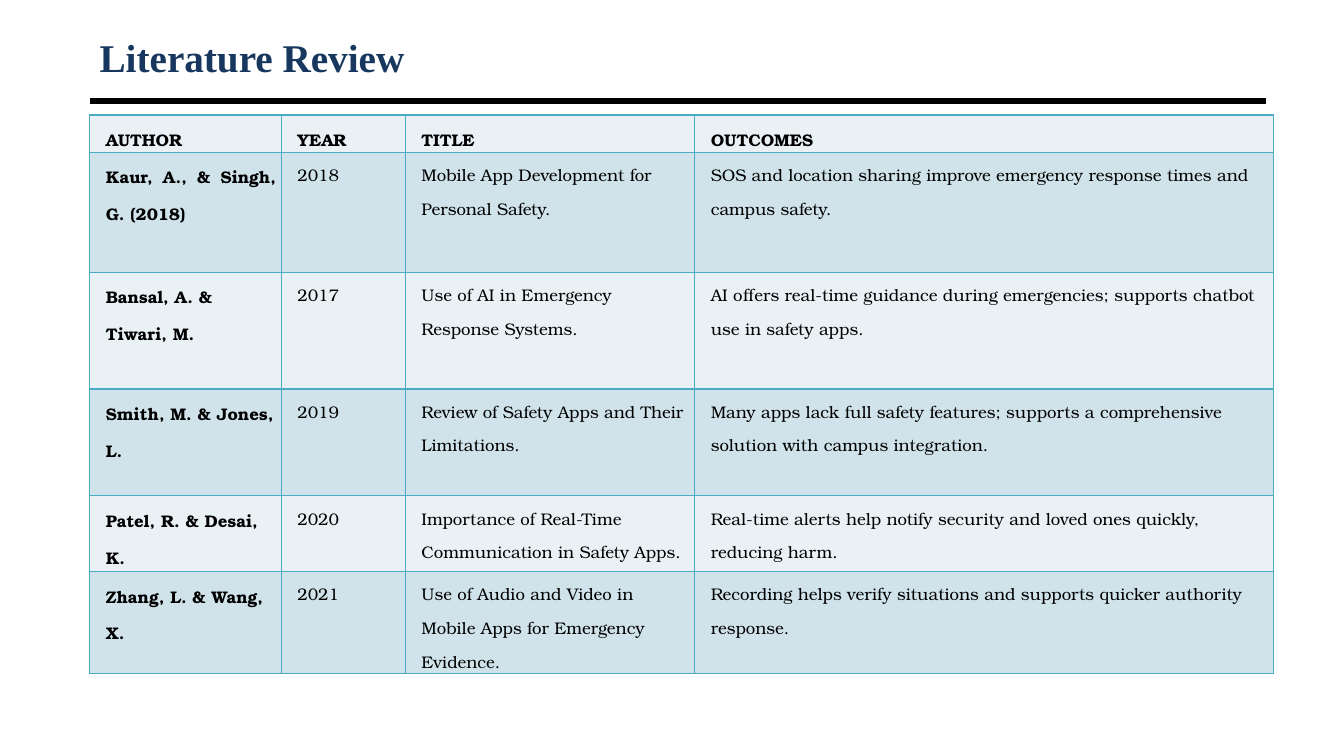
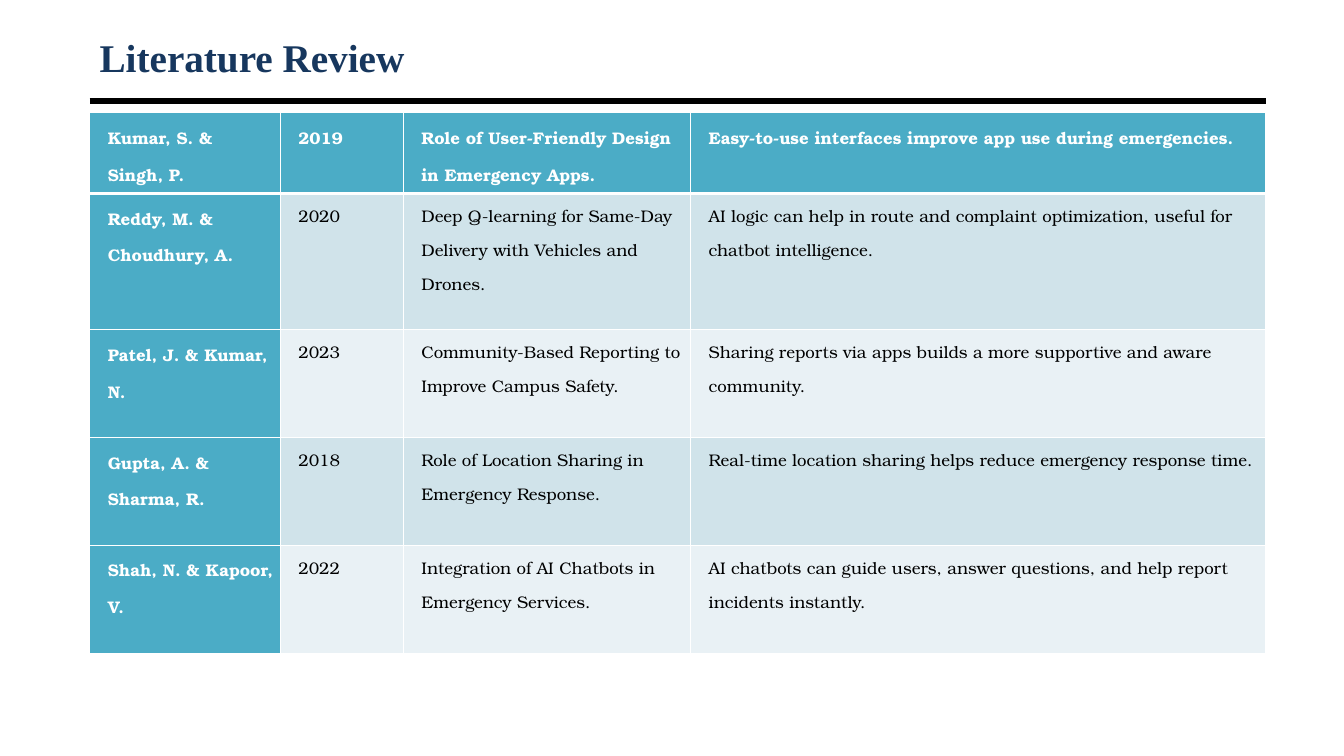
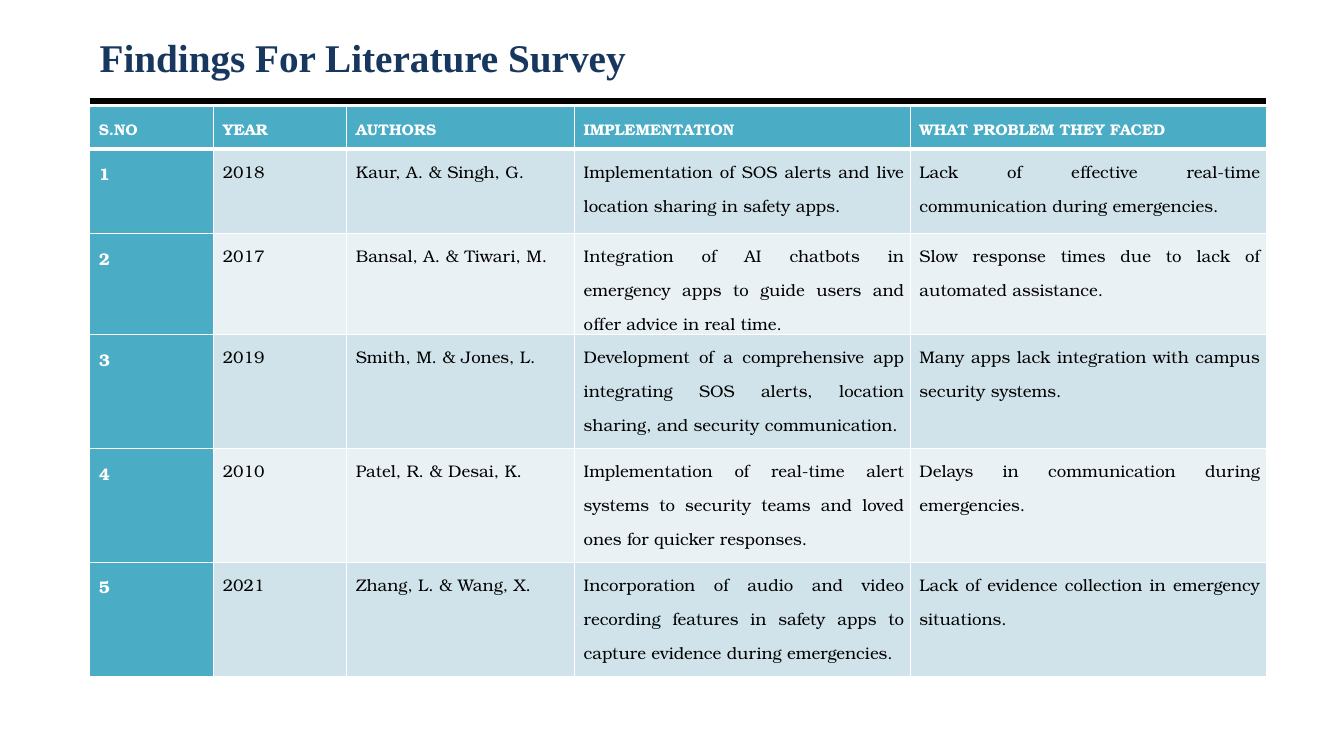
from pptx import Presentation
from pptx.dml.color import RGBColor
from pptx.enum.shapes import MSO_CONNECTOR as Connector
from pptx.enum.text import MSO_ANCHOR as Anchor, PP_ALIGN as Align
from pptx.oxml.ns import qn
from pptx.util import Inches, Pt
from lxml.etree import SubElement

# Shared look
NAVY = RGBColor(0x17, 0x37, 0x5E)
BLACK = RGBColor(0, 0, 0)
WHITE = RGBColor(0xFF, 0xFF, 0xFF)
TEAL = RGBColor(0x4B, 0xAC, 0xC6)
PALE = RGBColor(0xE9, 0xF1, 0xF5)
MIST = RGBColor(0xD0, 0xE3, 0xEA)
TITLE_FONT = dict(name="Times New Roman", size=Pt(28), bold=True)
LEFT, WIDTH = 0.89, 11.67
TITLE_BOX = (LEFT, 0.3, WIDTH, 0.53)
RULE_TOP = 1

# Slide content
REVIEW = dict(
    title="Literature Review", top=1.14, accented=False, inset=0.05, indent=0.11,
    columns=[1.9, 1.23, 2.87, 5.74], heights=[0.37, 1.19, 1.16, 1.06, 0.75, 1.01],
    justified={(1, 0)},
    rows=[
        ("AUTHOR", "YEAR", "TITLE", "OUTCOMES"),
        ("Kaur, A., & Singh, G. (2018)", "2018", "Mobile App Development for Personal Safety.",
         "SOS and location sharing improve emergency response times and campus safety."),
        ("Bansal, A. & Tiwari, M.", "2017", "Use of AI in Emergency Response Systems.",
         "AI offers real-time guidance during emergencies; supports chatbot use in safety apps."),
        ("Smith, M. & Jones, L.", "2019", "Review of Safety Apps and Their Limitations.",
         "Many apps lack full safety features; supports a comprehensive solution with campus integration."),
        ("Patel, R. & Desai, K.", "2020", "Importance of Real-Time Communication in Safety Apps.",
         "Real-time alerts help notify security and loved ones quickly, reducing harm."),
        ("Zhang, L. & Wang, X.", "2021", "Use of Audio and Video in Mobile Apps for Emergency Evidence.",
         "Recording helps verify situations and supports quicker authority response."),
    ])

REVIEW_CONTINUED = dict(
    title="Literature Review", top=1.12, accented=True, inset=0.07, indent=0.11,
    columns=[1.89, 1.22, 2.85, 5.7], heights=[0.8, 1.35, 1.07, 1.07, 1.07],
    rows=[
        ("Kumar, S. & Singh, P.", "2019", "Role of User-Friendly Design in Emergency Apps.",
         "Easy-to-use interfaces improve app use during emergencies."),
        ("Reddy, M. & Choudhury, A.", "2020",
         "Deep Q-learning for Same-Day Delivery with Vehicles and Drones.",
         "AI logic can help in route and complaint optimization, useful for chatbot intelligence."),
        ("Patel, J. & Kumar, N.", "2023", "Community-Based Reporting to Improve Campus Safety.",
         "Sharing reports via apps builds a more supportive and aware community."),
        ("Gupta, A. & Sharma, R.", "2018", "Role of Location Sharing in Emergency Response.",
         "Real-time location sharing helps reduce emergency response time."),
        ("Shah, N. & Kapoor, V.", "2022", "Integration of AI Chatbots in Emergency Services.",
         "AI chatbots can guide users, answer questions, and help report incidents instantly."),
    ])

FINDINGS = dict(
    title="Findings For Literature Survey", top=1.06, accented=True, inset=0.06, indent=0.03,
    columns=[1.23, 1.32, 2.26, 3.33, 3.53], heights=[0.42, 0.84, 1, 1.13, 1.13, 1.13],
    header_size=11, justified={(row, column) for row in range(1, 6) for column in (3, 4)},
    rows=[
        ("S.NO", "YEAR", "AUTHORS", "IMPLEMENTATION", "WHAT PROBLEM THEY FACED"),
        ("1", "2018", "Kaur, A. & Singh, G.",
         "Implementation of SOS alerts and live location sharing in safety apps.",
         "Lack of effective real-time communication during emergencies."),
        ("2", "2017", "Bansal, A. & Tiwari, M.",
         "Integration of AI chatbots in emergency apps to guide users and offer advice in real time.",
         "Slow response times due to lack of automated assistance."),
        ("3", "2019", "Smith, M. & Jones, L.",
         "Development of a comprehensive app integrating SOS alerts, location sharing, "
         "and security communication.",
         "Many apps lack integration with campus security systems."),
        ("4", "2010", "Patel, R. & Desai, K.",
         "Implementation of real-time alert systems to security teams and loved ones "
         "for quicker responses.",
         "Delays in communication during emergencies."),
        ("5", "2021", "Zhang, L. & Wang, X.",
         "Incorporation of audio and video recording features in safety apps to capture "
         "evidence during emergencies.",
         "Lack of evidence collection in emergency situations."),
    ])


def set_all(target, values):
    for name, value in values.items():
        setattr(target, name, value)


def write(para, text, color, font):
    span = para.add_run()
    span.text = text
    set_all(span.font, font)
    span.font.color.rgb = color


def add_heading(page, box, text):
    """Title with the heavy rule under it."""
    frame = page.shapes.add_textbox(*map(Inches, box)).text_frame
    set_all(frame, dict(word_wrap=True, vertical_anchor=Anchor.MIDDLE))
    write(frame.paragraphs[0], text, NAVY, TITLE_FONT)
    left, _, width, _ = box
    ends = map(Inches, (left, RULE_TOP, left + width, RULE_TOP))
    rule = page.shapes.add_connector(Connector.STRAIGHT, *ends)
    rule.line.color.rgb = BLACK
    rule.line.width = Pt(4.5)
    SubElement(rule._element.spPr, qn("a:effectLst"))


def set_borders(cell, color, widths):
    """Cell edges; these must precede the fill."""
    props = cell._tc.get_or_add_tcPr()
    for side, width in widths.items():
        line = SubElement(props, qn(f"a:ln{side}"), w=str(Pt(width)))
        fill = SubElement(line, qn("a:solidFill"))
        SubElement(fill, qn("a:srgbClr"), val=str(color))


def add_grid(page, left, top, grid):
    """Banded table; accented ones have a teal header and first column."""
    rows, columns, heights = grid["rows"], grid["columns"], grid["heights"]
    box = map(Inches, (left, top, sum(columns), sum(heights)))
    table = page.shapes.add_table(len(rows), len(columns), *box).table
    set_all(table, dict(first_row=False, horz_banding=False))
    for column, width in zip(table.columns, columns):
        column.width = Inches(width)
    for row, height in zip(table.rows, heights):
        row.height = Inches(height)

    accented, inset = grid["accented"], Inches(grid["inset"])
    for r, texts in enumerate(rows):
        for c, text in enumerate(texts):
            cell = table.cell(r, c)
            strong = r == 0 or c == 0
            teal = accented and strong
            set_all(cell, dict(margin_left=inset, margin_right=inset,
                               margin_top=0, margin_bottom=0))
            set_borders(cell, WHITE if accented else TEAL, dict(
                L=1, R=1, T=3 if accented and r == 1 else 1, B=3 if accented and r == 0 else 1))
            cell.fill.solid()
            cell.fill.fore_color.rgb = TEAL if teal else MIST if r % 2 else PALE

            para = cell.text_frame.paragraphs[0]
            justified = (r, c) in grid.get("justified", ())
            set_all(para, dict(line_spacing=1.5,
                               alignment=Align.JUSTIFY if justified else Align.LEFT))
            para._p.get_or_add_pPr().set("marL", str(Inches(grid["indent"])))
            size = grid.get("header_size", 12) if r == 0 else 12
            write(para, text, WHITE if teal else BLACK,
                  dict(name="TeX Gyre Bonum", size=Pt(size), bold=strong))


def add_table_slide(deck, grid):
    page = deck.slides.add_slide(deck.slide_layouts[6])
    add_heading(page, TITLE_BOX, grid["title"])
    add_grid(page, LEFT, grid["top"], grid)


def main():
    deck = Presentation()
    set_all(deck, dict(slide_width=Inches(13.33), slide_height=Inches(7.5)))
    for grid in (REVIEW, REVIEW_CONTINUED, FINDINGS):
        add_table_slide(deck, grid)
    deck.save("out.pptx")


if __name__ == "__main__":
    main()
